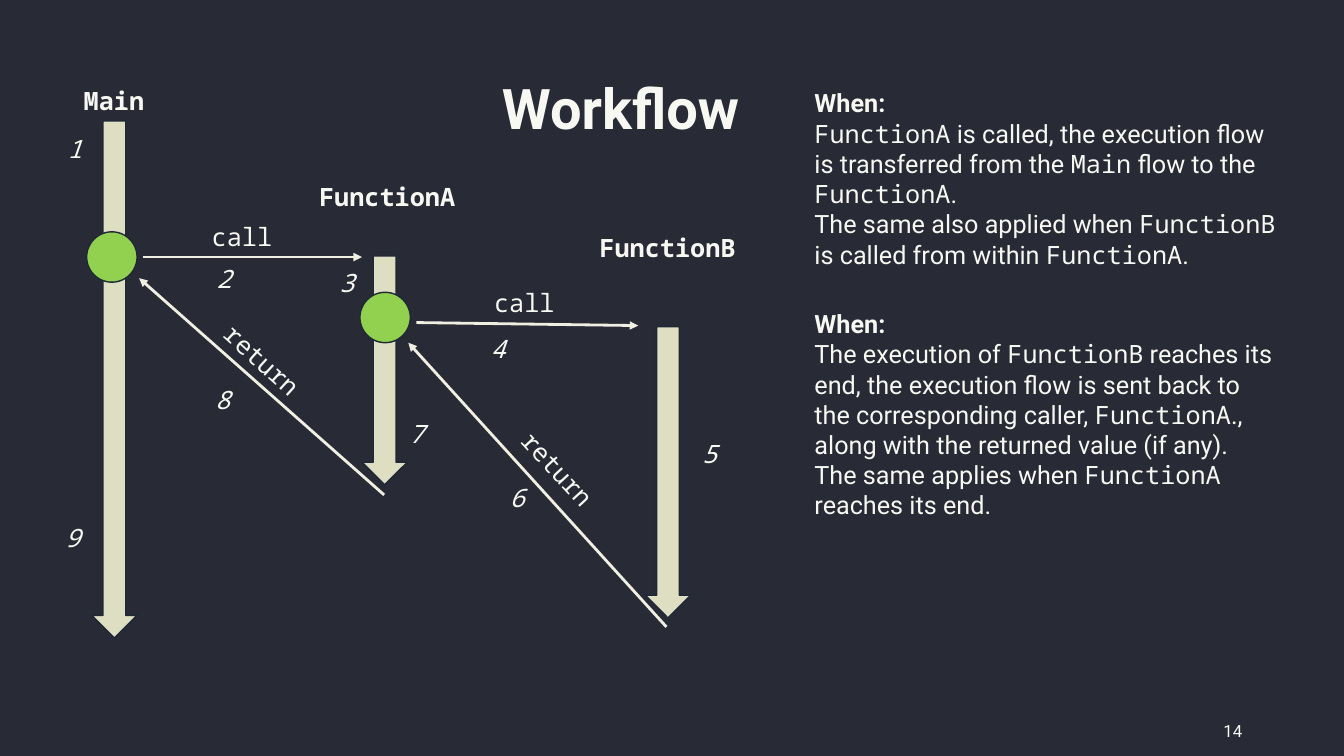
from dataclasses import dataclass

import pptx
import pptx.dml.color
import pptx.enum.shapes
import pptx.enum.text
import pptx.oxml
import pptx.oxml.ns
import pptx.util

Inches = pptx.util.Inches
Pt = pptx.util.Pt
SHAPE = pptx.enum.shapes.MSO_SHAPE
ALIGN = pptx.enum.text.PP_ALIGN
ANCHOR = pptx.enum.text.MSO_ANCHOR

COLORS = {
    "background": "282A36",
    "text": "F8F8F2",
    "flow": "DEDEC2",
    "call_point": "92D050",
    "outline": "1F2837",
    "transfer": "EFEFE2",
}
SANS = "Roboto"
MONO = "Noto Sans Mono"
LINE_HEIGHT = 0.4


@dataclass
class Node:
    kind: SHAPE
    left: float
    top: float
    width: float
    height: float
    color: str


@dataclass
class Transfer:
    x1: float
    y1: float
    x2: float
    y2: float


@dataclass
class Label:
    text: str
    left: float
    top: float
    width: float = 1.48
    bold: bool = False
    rotation: float = 0


@dataclass
class Explanation:
    top: float
    height: float
    paragraphs: list[str]


NODES = [
    Node(SHAPE.DOWN_ARROW, 0.91, 1.2, 0.45, 5.13, "flow"),
    Node(SHAPE.DOWN_ARROW, 3.59, 2.54, 0.45, 2.27, "flow"),
    Node(SHAPE.DOWN_ARROW, 6.4, 3.24, 0.45, 2.89, "flow"),
    Node(SHAPE.OVAL, 0.86, 2.3, 0.5, 0.5, "call_point"),
    Node(SHAPE.OVAL, 3.57, 2.9, 0.5, 0.5, "call_point"),
]
TRANSFERS = [
    Transfer(1.42, 2.55, 3.59, 2.55),
    Transfer(6.61, 6.22, 4.05, 3.4),
    Transfer(4.13, 3.2, 6.33, 3.23),
    Transfer(3.81, 4.91, 1.38, 2.76),
]
LABELS = [
    Label("Main", 0.39, 0.8, bold=True),
    Label("FunctionA", 2.48, 1.75, 2.72, bold=True),
    Label("FunctionB", 5.26, 2.26, 2.72, bold=True),
    Label("call", 1.66, 2.15),
    Label("call", 4.46, 2.8),
    Label("return", 1.86, 3.37, rotation=42),
    Label("return", 4.79, 4.45, rotation=47.4),
]
# Left and top of the step numbers, in order from 1
STEPS = [
    (0.49, 1.27), (1.97, 2.56), (3.19, 2.6),
    (4.69, 3.26), (6.79, 4.3), (4.88, 4.74),
    (3.88, 4.1), (1.96, 3.76), (0.47, 5.13),
]
# Backticks enclose code
EXPLANATIONS = [
    Explanation(0.82, 1.92, [
        "`FunctionA` is called, the execution flow is transferred from the "
        "`Main` flow to the `FunctionA`.",
        "The same also applied when `FunctionB` is called from within `FunctionA`.",
    ]),
    Explanation(3.01, 2.22, [
        "The execution of `FunctionB` reaches its end, the execution flow is sent "
        "back to the corresponding caller, `FunctionA`., along with the returned "
        "value (if any).",
        "The same applies when `FunctionA` reaches its end.",
    ]),
]


def rgb(name: str) -> pptx.dml.color.RGBColor:
    return pptx.dml.color.RGBColor.from_string(COLORS[name])


def add_text(p, text: str, *, font: str = SANS, size: float = 18,
             bold: bool = False, italic: bool = False) -> None:
    """Add runs to a paragraph, setting parts in backticks in the code font."""
    for i, part in enumerate(text.split("`")):
        if part:
            r = p.add_run()
            r.text = part
            r.font.name = MONO if i % 2 else font
            r.font.size = Pt(size)
            r.font.bold = bold
            r.font.italic = italic
            r.font.color.rgb = rgb("text")


def add_box(s, left: float, top: float, width: float, height: float = LINE_HEIGHT,
            *, align: ALIGN = ALIGN.LEFT, anchor: ANCHOR = ANCHOR.TOP,
            rotation: float = 0):
    sp = s.shapes.add_textbox(Inches(left), Inches(top), Inches(width), Inches(height))
    sp.rotation = rotation
    tf = sp.text_frame
    tf.word_wrap = True
    tf.vertical_anchor = anchor
    tf.paragraphs[0].alignment = align
    return tf


def add_node(s, node: Node) -> None:
    sp = s.shapes.add_shape(node.kind, Inches(node.left), Inches(node.top),
                            Inches(node.width), Inches(node.height))
    sp.shadow.inherit = False
    sp.fill.solid()
    sp.fill.fore_color.rgb = rgb(node.color)
    sp.line.color.rgb = rgb("outline")
    sp.line.width = Pt(1)


def add_transfer(s, t: Transfer) -> None:
    c = s.shapes.add_connector(pptx.enum.shapes.MSO_CONNECTOR.STRAIGHT,
                               Inches(t.x1), Inches(t.y1), Inches(t.x2), Inches(t.y2))
    c.line.color.rgb = rgb("transfer")
    c.line.width = Pt(2)
    qn = pptx.oxml.ns.qn
    properties = c._element.spPr
    head = properties.find(qn("a:ln")).makeelement(qn("a:tailEnd"), {"type": "triangle"})
    properties.find(qn("a:ln")).append(head)
    properties.append(properties.makeelement(qn("a:effectLst"), {}))


def add_explanation(s, e: Explanation) -> None:
    tf = add_box(s, 7.98, e.top, 4.8, e.height)
    add_text(tf.paragraphs[0], "When:", bold=True)
    for text in e.paragraphs:
        add_text(tf.add_paragraph(), text)


def main() -> None:
    prs = pptx.Presentation()
    prs.slide_width, prs.slide_height = Inches(13.33), Inches(7.5)
    s = prs.slides.add_slide(prs.slide_layouts[6])
    s.background.fill.solid()
    s.background.fill.fore_color.rgb = rgb("background")

    for node in NODES:
        add_node(s, node)
    for transfer in TRANSFERS:
        add_transfer(s, transfer)
    for label in LABELS:
        tf = add_box(s, label.left, label.top, label.width,
                     align=ALIGN.CENTER, rotation=label.rotation)
        add_text(tf.paragraphs[0], label.text, font=MONO, bold=label.bold)
    for number, (left, top) in enumerate(STEPS, 1):
        tf = add_box(s, left, top, 0.5, align=ALIGN.CENTER)
        add_text(tf.paragraphs[0], str(number), font=MONO, italic=True)
    for explanation in EXPLANATIONS:
        add_explanation(s, explanation)

    title = add_box(s, 4.88, 0.73, 4.96, 0.75, anchor=ANCHOR.MIDDLE).paragraphs[0]
    title.line_spacing = 0.9
    add_text(title, "Workflow", size=40, bold=True)
    page = add_box(s, 11.68, 7.05, 0.74, align=ALIGN.RIGHT, anchor=ANCHOR.MIDDLE)
    add_text(page.paragraphs[0], "14", size=12)
    prs.save("out.pptx")


if __name__ == "__main__":
    main()
